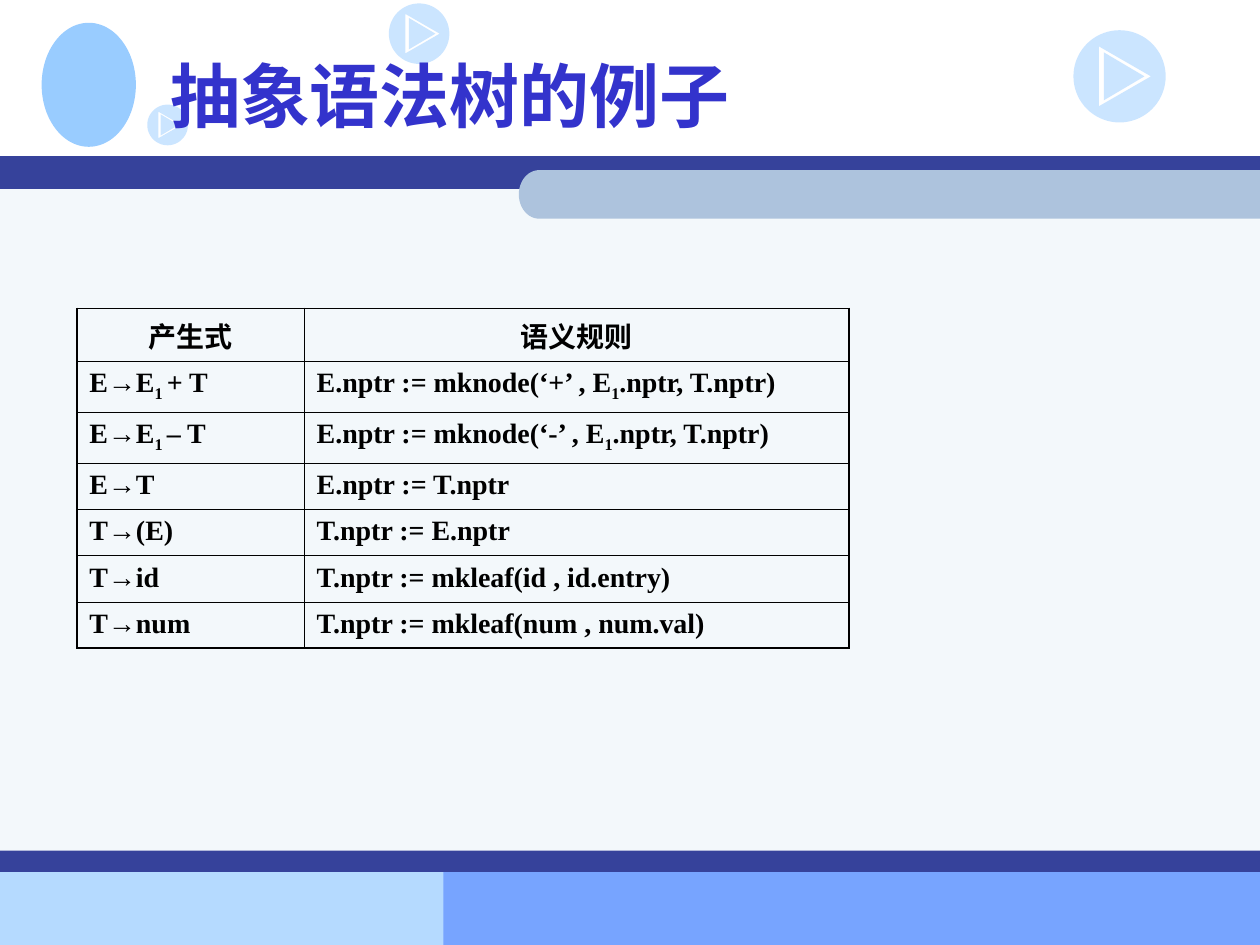
import math

import lxml.etree
import pptx
import pptx.dml.color
import pptx.enum.shapes
import pptx.enum.text
import pptx.oxml.ns
import pptx.util

Cm = pptx.util.Cm
Pt = pptx.util.Pt
RGBColor = pptx.dml.color.RGBColor
Shape = pptx.enum.shapes.MSO_SHAPE
Align = pptx.enum.text.PP_ALIGN
qn = pptx.oxml.ns.qn

NAVY = RGBColor(0x36, 0x42, 0x9B)
ROYAL = RGBColor(0x33, 0x33, 0xCC)
SKY = RGBColor(0x99, 0xCC, 0xFF)
PALE = RGBColor(0xB5, 0xDA, 0xFF)
BLUE = RGBColor(0x77, 0xA4, 0xFF)
MIST = RGBColor(0xF3, 0xF8, 0xFB)
STEEL = RGBColor(0xAD, 0xC3, 0xDD)
BLACK = RGBColor(0, 0, 0)

WIDE, HIGH = 25.4, 19.05
THIN, THICK = 0.45, 1.08


def arc(x, y, rx, ry, start, end, steps):
    """Points along an ellipse, with angles in degrees."""
    turns = [math.radians(start + (end - start) * i / steps) for i in range(steps + 1)]
    return [(x + rx * math.cos(t), y + ry * math.sin(t)) for t in turns]


class Painter:
    serif = "Times New Roman"
    sans = "Noto Sans CJK SC"

    def __init__(self, slide):
        self.slide = slide

    def paint(self, shape, color):
        shape.shadow.inherit = False
        shape.fill.solid()
        shape.fill.fore_color.rgb = color
        shape.line.fill.background()

    def block(self, x, y, w, h, color, kind=Shape.RECTANGLE):
        shape = self.slide.shapes.add_shape(kind, Cm(x), Cm(y), Cm(w), Cm(h))
        self.paint(shape, color)

    def outline(self, loops, color, alpha=None):
        loops = [[(Cm(x), Cm(y)) for x, y in loop] for loop in loops]
        pen = self.slide.shapes.build_freeform(*loops[0][0])
        for i, loop in enumerate(loops):
            if i:
                pen.move_to(*loop[0])
            pen.add_line_segments(loop[1:], close=True)
        shape = pen.convert_to_shape()
        self.paint(shape, color)
        if alpha:
            tone = shape.fill._xPr.find(".//" + qn("a:srgbClr"))
            lxml.etree.SubElement(tone, qn("a:alpha")).set("val", str(alpha * 1000))

    def play(self, x, y, r):
        """Disc with a hollow triangle cut out of it."""
        def wedge(left, half, right):
            return [(x + left * r, y - half * r), (x + right * r, y),
                    (x + left * r, y + half * r)]

        disc = arc(x, y, r, r, 0, 360, 72)
        self.outline([disc, wedge(-0.45, 0.65, 0.68), wedge(-0.34, 0.52, 0.54)], SKY, 50)

    def run(self, para, text, size, color, face, base=0):
        run = para.add_run()
        run.text = text
        run.font.size = Pt(size)
        run.font.bold = True
        run.font.name = face
        run.font.color.rgb = color
        props = run._r.get_or_add_rPr()
        lxml.etree.SubElement(props, qn("a:ea")).set("typeface", self.sans)
        if base:
            props.set("baseline", str(base * 1000))

    def title(self, text, x, y, w, h):
        frame = self.slide.shapes.add_textbox(Cm(x), Cm(y), Cm(w), Cm(h)).text_frame
        frame.word_wrap = True
        frame.vertical_anchor = pptx.enum.text.MSO_ANCHOR.MIDDLE
        self.run(frame.paragraphs[0], text, 40, ROYAL, self.sans)

    def border(self, cell, widths):
        props = cell._tc.get_or_add_tcPr()
        for side, width in zip("LRTB", widths):
            line = lxml.etree.SubElement(props, qn("a:ln" + side), w=str(Pt(width)))
            fill = lxml.etree.SubElement(line, qn("a:solidFill"))
            lxml.etree.SubElement(fill, qn("a:srgbClr"), val=str(BLACK))

    def table(self, x, y, cols, heights, rows):
        frame = self.slide.shapes.add_table(
            len(rows), len(cols), Cm(x), Cm(y), Cm(sum(cols)), Cm(sum(heights)))
        table = frame.table
        table.first_row = table.horz_banding = False
        for col, width in zip(table.columns, cols):
            col.width = Cm(width)
        for row, height in zip(table.rows, heights):
            row.height = Cm(height)
        for r, row in enumerate(rows):
            for c, parts in enumerate(row):
                cell = table.cell(r, c)
                edges = (c == 0, c == len(cols) - 1, r == 0, r == len(rows) - 1)
                self.border(cell, [THICK if edge else THIN for edge in edges])
                cell.fill.background()
                para = cell.text_frame.paragraphs[0]
                para.alignment = Align.LEFT if r else Align.CENTER
                # Every second part is a subscript
                for i, part in enumerate(parts):
                    self.run(para, part, 16, BLACK, self.serif, -25 if i % 2 else 0)


def main():
    deck = pptx.Presentation()
    deck.slide_width, deck.slide_height = Cm(WIDE), Cm(HIGH)
    art = Painter(deck.slides.add_slide(deck.slide_layouts[6]))

    # Footer strips, body and header bar
    art.block(0, 17.58, 10.8, 1.47, PALE)
    art.block(8.94, 17.55, 16.46, 1.5, BLUE)
    art.block(0, 3.56, WIDE, 14, MIST)
    art.block(0, 3.15, WIDE, 0.66, NAVY)

    # Tab with a round left end
    end = arc(10.87, 3.92, 0.41, 0.49, 270, 90, 24)
    art.outline([[(WIDE, 3.43)] + end + [(WIDE, 4.41)]], STEEL)

    # Emblem, play marks and footer bar
    art.block(0.84, 0.46, 1.9, 2.5, SKY, Shape.OVAL)
    for x, y, r in [(8.45, 0.68, 0.61), (22.57, 1.54, 0.93), (3.38, 2.52, 0.41)]:
        art.play(x, y, r)
    art.block(0, 17.15, WIDE, 0.43, NAVY)

    # Title
    art.title("抽象语法树的例子", 3.18, 0.43, 21.59, 2.97)

    # Productions and their semantic rules
    rows = [
        (["产生式"], ["语义规则"]),
        (["E→E", "1 ", "+ T"], ["E.nptr := mknode(‘+’ , E", "1", ".nptr, T.nptr)"]),
        (["E→E", "1 ", "– T"], ["E.nptr := mknode(‘-’ , E", "1", ".nptr, T.nptr)"]),
        (["E→T"], ["E.nptr := T.nptr"]),
        (["T→(E)"], ["T.nptr := E.nptr"]),
        (["T→id"], ["T.nptr := mkleaf(id , id.entry)"]),
        (["T→num"], ["T.nptr := mkleaf(num , num.val)"]),
    ]
    art.table(1.55, 6.22, [4.58, 10.98], [1.07] + [1.02] * 2 + [0.93] * 4, rows)

    deck.save("out.pptx")


if __name__ == "__main__":
    main()
